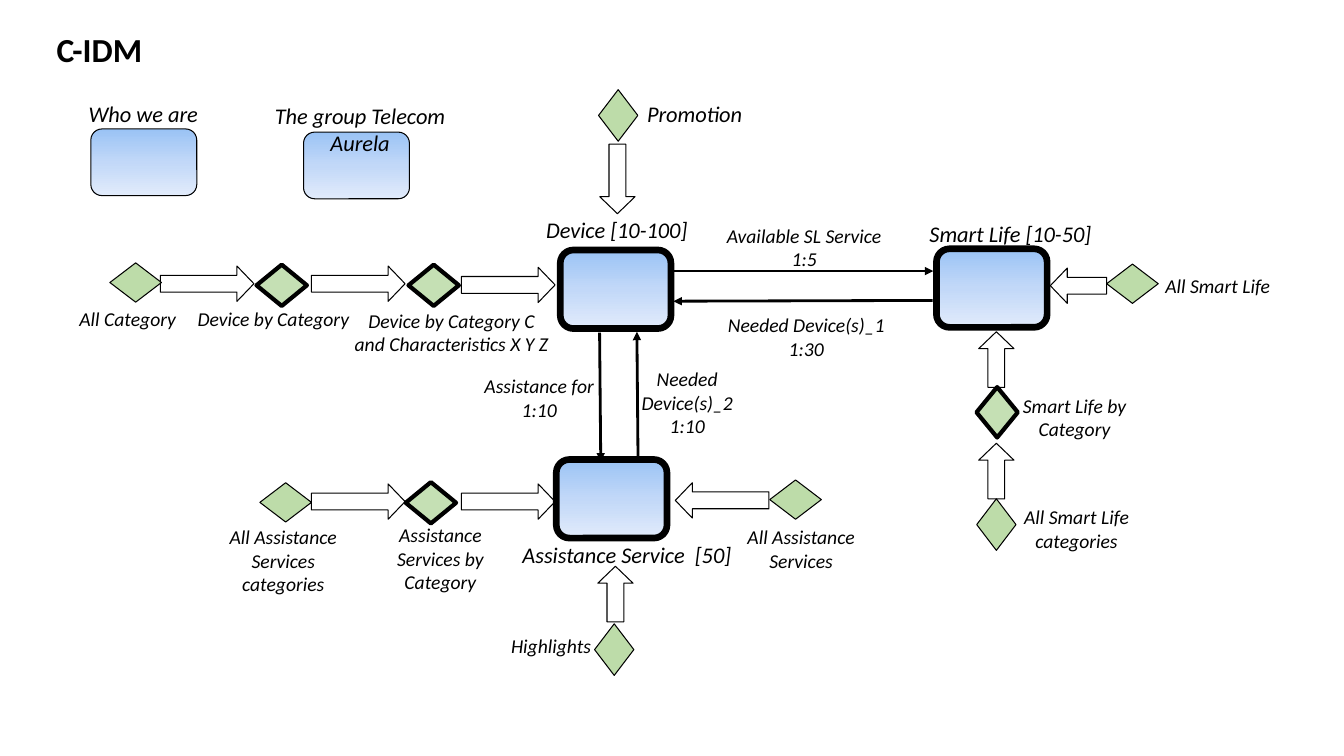
import copy
import pptx
import pptx.util
import pptx.dml.color
import pptx.enum.shapes
import pptx.enum.text
import pptx.oxml
import pptx.oxml.ns
import lxml.etree

Cm = pptx.util.Cm
Pt = pptx.util.Pt
Shapes = pptx.enum.shapes.MSO_SHAPE
qn = pptx.oxml.ns.qn

COLOURS = {
    "black": "000000",
    "gradient top": "9AC3F5",
    "gradient middle": "C2D8F8",
    "gradient bottom": "E1EBFB",
    "index": "A9D18E",
    "filtered index": "C5E0B4",
}


class Diagram:
    font_name = "Calibri"
    arrows = {
        "right": Shapes.RIGHT_ARROW,
        "left": Shapes.LEFT_ARROW,
        "up": Shapes.UP_ARROW,
        "down": Shapes.DOWN_ARROW,
    }

    def __init__(self, slide):
        self.slide = slide

    def colour(self, name):
        return pptx.dml.color.RGBColor.from_string(COLOURS[name])

    def style_font(self, font, size, bold=False, italic=False):
        font.name = self.font_name
        font.size = Pt(size)
        font.bold = bold
        font.italic = italic
        font.color.rgb = self.colour("black")

    def title(self, text, left, top, width, height):
        shape = self.slide.shapes.title
        shape.left, shape.top = Cm(left), Cm(top)
        shape.width, shape.height = Cm(width), Cm(height)
        frame = shape.text_frame
        frame.text = text
        frame.vertical_anchor = pptx.enum.text.MSO_ANCHOR.MIDDLE
        paragraph = frame.paragraphs[0]
        paragraph.alignment = pptx.enum.text.PP_ALIGN.LEFT
        self.style_font(paragraph.font, 24, bold=True)

    def label(self, text, left, top, width, lines=1, size=14, wrap=True):
        height = 0.26 + 0.0427 * size * lines
        shape = self.slide.shapes.add_textbox(Cm(left), Cm(top), Cm(width), Cm(height))
        frame = shape.text_frame
        frame.text = text
        frame.word_wrap = wrap
        frame.auto_size = pptx.enum.text.MSO_AUTO_SIZE.SHAPE_TO_FIT_TEXT
        for paragraph in frame.paragraphs:
            paragraph.alignment = pptx.enum.text.PP_ALIGN.CENTER
            self.style_font(paragraph.font, size, italic=True)

    def outline(self, kind, left, top, width, height, line_width):
        shape = self.slide.shapes.add_shape(kind, Cm(left), Cm(top), Cm(width), Cm(height))
        shape.shadow.inherit = False
        shape.line.color.rgb = self.colour("black")
        shape.line.width = Pt(line_width)
        return shape

    def box(self, left, top, width, height, line_width):
        shape = self.outline(Shapes.ROUNDED_RECTANGLE, left, top, width, height, line_width)
        shape.fill.gradient()
        shape.fill.gradient_angle = 270
        stop_list = shape.fill._xPr.find(".//" + qn("a:gsLst"))
        stop_list.append(copy.deepcopy(stop_list[0]))
        names = ("gradient top", "gradient middle", "gradient bottom")
        for index, (stop, name) in enumerate(zip(shape.fill.gradient_stops, names)):
            stop.position = index / 2
            stop.color.rgb = self.colour(name)

    def diamond(self, centre_x, centre_y, flat=True, filtered=False):
        long, short = (1.27, 1.04) if filtered else (1.3, 0.99)
        width, height = (long, short) if flat else (short, long)
        shape = self.outline(Shapes.DIAMOND, centre_x - width / 2, centre_y - height / 2,
                             width, height, 3 if filtered else 0.75)
        shape.fill.solid()
        shape.fill.fore_color.rgb = self.colour("filtered index" if filtered else "index")
        if not filtered:
            colour = shape._element.spPr.find(qn("a:solidFill"))[0]
            lxml.etree.SubElement(colour, qn("a:alpha")).set("val", "76000")

    def arrow(self, direction, centre_x, centre_y, length):
        thickness = 0.89
        flat = direction in ("right", "left")
        width, height = (length, thickness) if flat else (thickness, length)
        shape = self.outline(self.arrows[direction], centre_x - width / 2,
                             centre_y - height / 2, width, height, 0.75)
        shape.adjustments[0] = 0.475
        shape.adjustments[1] = 0.48
        shape.fill.background()

    def relation(self, start_x, start_y, end_x, end_y):
        connector = self.slide.shapes.add_connector(
            pptx.enum.shapes.MSO_CONNECTOR.STRAIGHT,
            Cm(start_x), Cm(start_y), Cm(end_x), Cm(end_y))
        connector.line.color.rgb = self.colour("black")
        connector.line.width = Pt(2)
        line = connector.line._get_or_add_ln()
        lxml.etree.SubElement(line, qn("a:tailEnd")).set("type", "triangle")
        lxml.etree.SubElement(connector._element.spPr, qn("a:effectLst"))


presentation = pptx.Presentation()
presentation.slide_width = Cm(33.87)
presentation.slide_height = Cm(19.05)
diagram = Diagram(presentation.slides.add_slide(presentation.slide_layouts[5]))

diagram.title("C-IDM", 1.17, 0.61, 3.1, 1.27)

for left, top in ((2.29, 3.25), (7.65, 3.33)):
    diagram.box(left, top, 2.67, 1.68, 0.75)
for left, top in ((14.12, 6.3), (14.02, 11.58), (23.6, 6.27)):
    diagram.box(left, top, 2.79, 1.98, 4.75)

for topic in (
    ("Who we are", 1.96, 2.41, 3.3),
    ("The group Telecom Aurela", 5.99, 2.44, 6.17),
    ("Promotion", 16.03, 2.41, 2.95),
    ("Device [10-100]", 13.49, 5.33, 4.11),
    ("Smart Life [10-50]", 23.14, 5.41, 4.65),
    ("Assistance Service  [50]", 12.88, 13.51, 5.84),
):
    diagram.label(*topic, size=16, wrap=False)

for caption in (
    ("All Category", 1.52, 7.62, 3.4),
    ("Device by Category", 4.49, 7.62, 4.8),
    ("Device by Category C and Characteristics X Y Z", 8.66, 7.65, 5.44, 2),
    ("Available SL Service\n1:5", 17.63, 5.51, 5.28, 2),
    ("Needed Device(s)_1\n1:30", 17.22, 7.77, 6.2, 2),
    ("Assistance for\n1:10", 11.71, 9.3, 3.76, 2),
    ("Needed Device(s)_2\n1:10", 15.49, 9.12, 3.66, 3),
    ("All Assistance Services categories", 5.03, 13.11, 4.22, 3),
    ("Assistance Services by Category", 8.99, 13.06, 4.22, 3),
    ("All Assistance Services", 18.08, 13.11, 4.22, 2),
    ("All Smart Life", 28.58, 6.78, 4.22),
    ("Smart Life by Category", 24.97, 9.8, 4.22, 2),
    ("All Smart Life categories", 25.02, 12.6, 4.22, 2),
    ("Highlights", 12.39, 15.85, 3),
):
    diagram.label(*caption)

for arrow in (
    ("right", 5.22, 7.15, 2.36),
    ("right", 9.03, 7.15, 2.36),
    ("right", 12.81, 7.18, 2.36),
    ("right", 9.03, 12.64, 2.36),
    ("right", 12.81, 12.64, 2.36),
    ("left", 18.2, 12.61, 2.36),
    ("left", 27.18, 7.2, 1.42),
    ("down", 15.56, 4.51, 1.75),
    ("up", 15.51, 14.97, 1.4),
    ("up", 25.11, 9.06, 1.4),
    ("up", 25.11, 11.87, 1.4),
):
    diagram.arrow(*arrow)

for centre in ((3.42, 7.12), (28.54, 7.15), (20.05, 12.59), (7.2, 12.66)):
    diagram.diamond(*centre)
for centre in ((15.58, 2.91), (25.11, 13.22), (15.48, 16.37)):
    diagram.diamond(*centre, flat=False)
for centre in ((7.1, 7.19), (10.93, 7.19), (10.86, 12.67)):
    diagram.diamond(*centre, filtered=True)
diagram.diamond(25.13, 10.39, flat=False, filtered=True)

for ends in (
    (16.99, 6.83, 23.52, 6.83),
    (23.5, 7.57, 16.97, 7.59),
    (15.11, 8.38, 15.14, 11.63),
    (16.08, 11.58, 16.05, 8.36),
):
    diagram.relation(*ends)

presentation.save("out.pptx")
